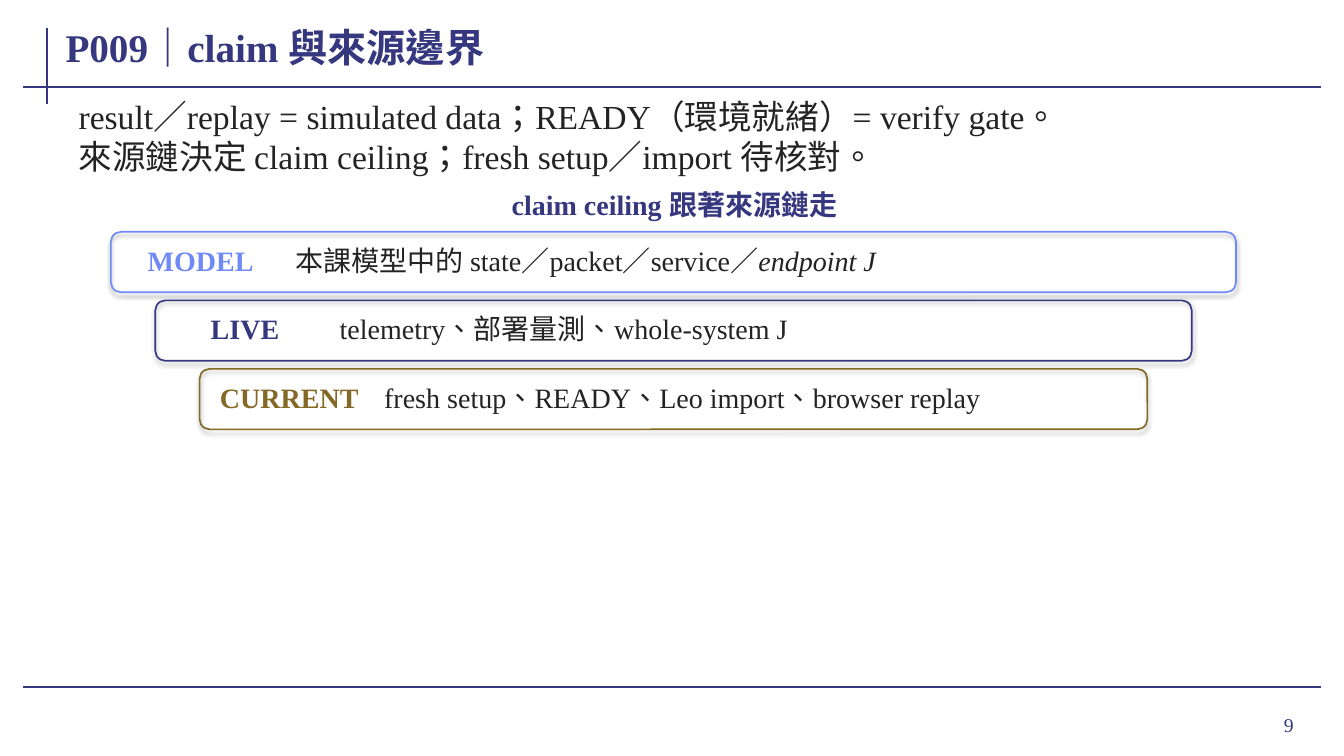
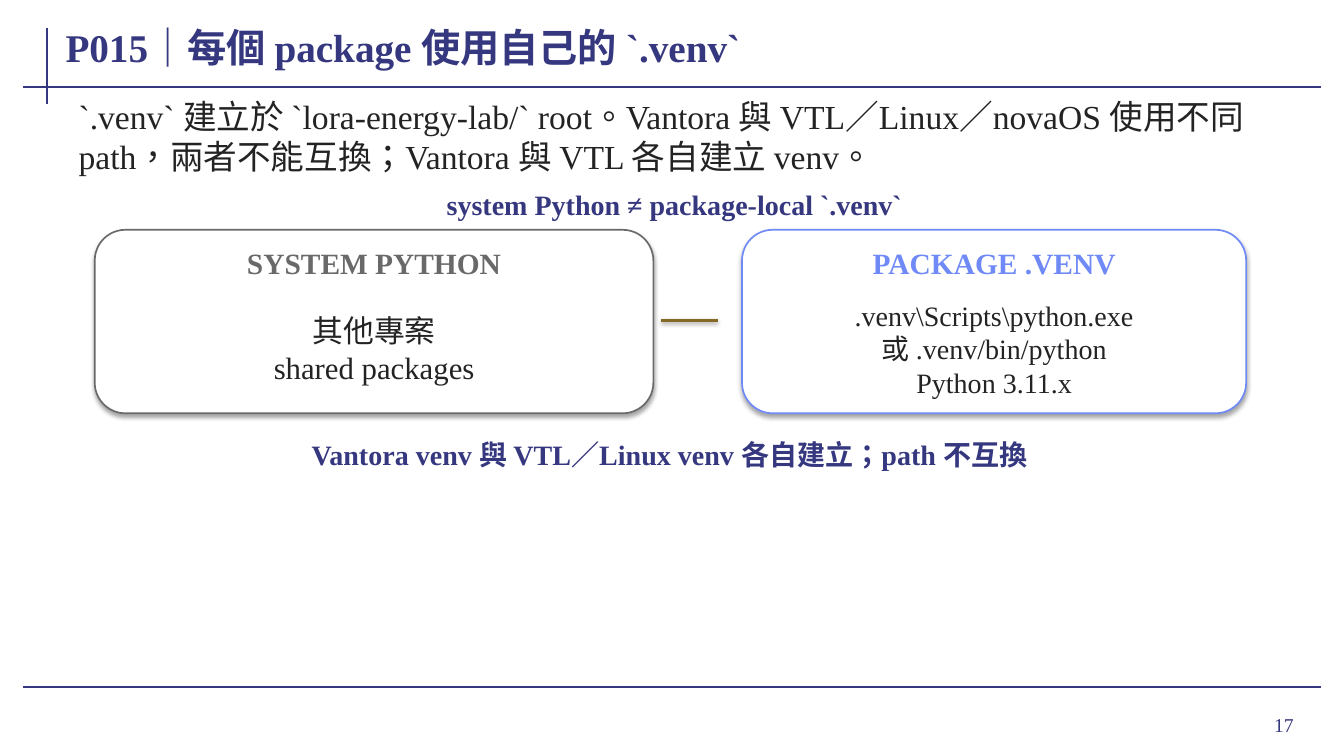
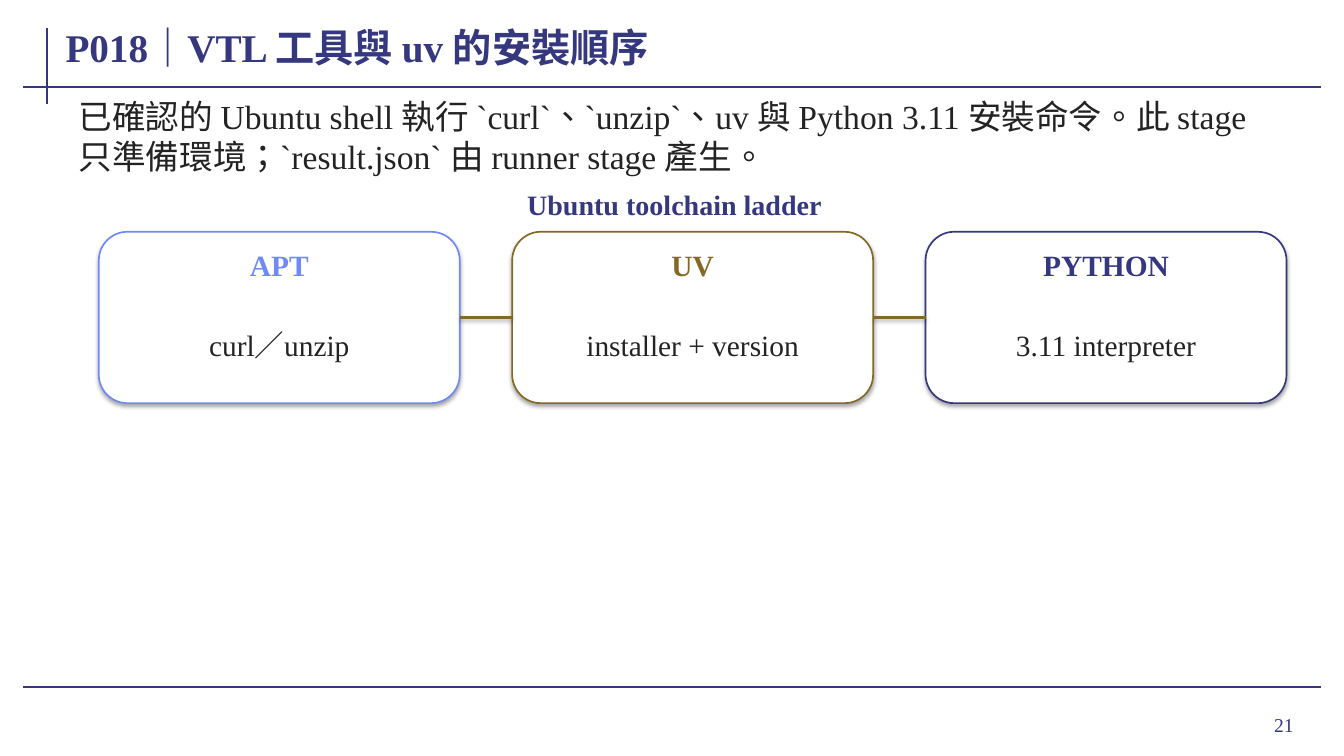
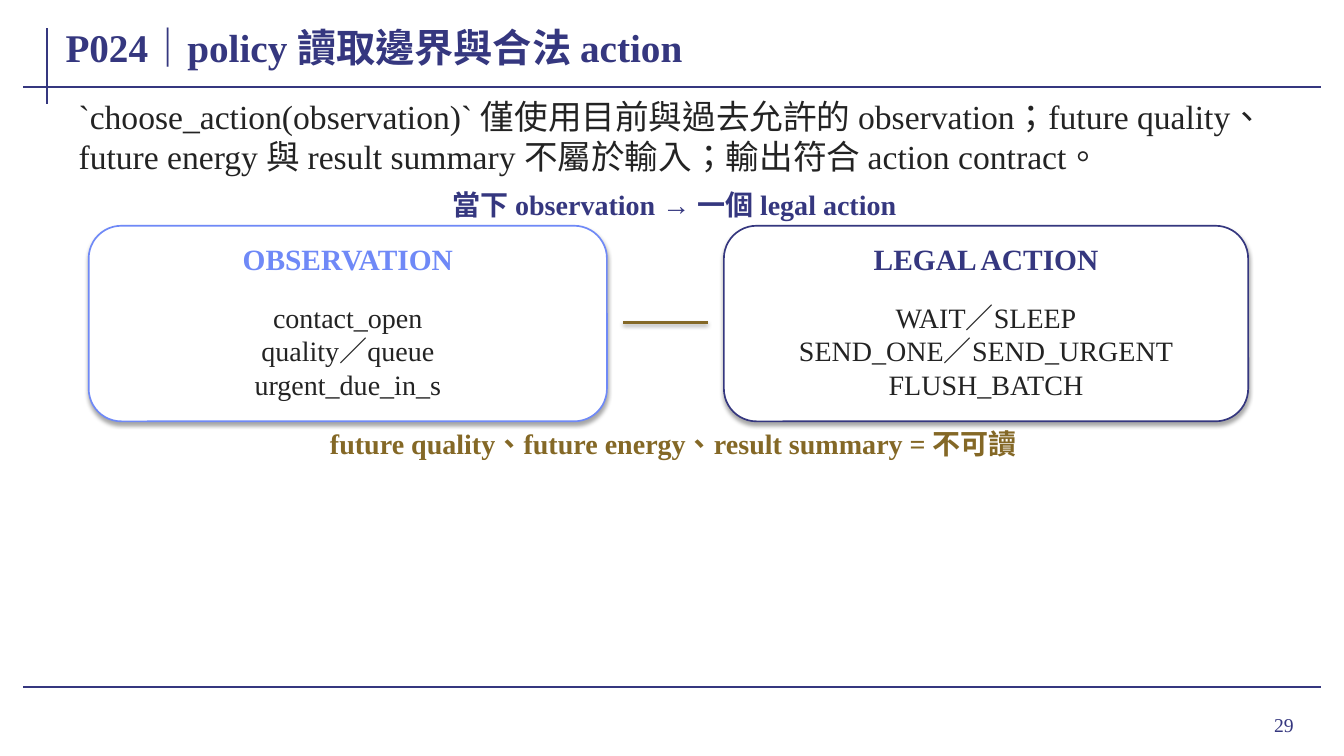
from lxml.etree import SubElement
from pptx import Presentation
from pptx.dml.color import RGBColor
from pptx.enum.lang import MSO_LANGUAGE_ID as Lang
from pptx.enum.shapes import MSO_CONNECTOR as Connector, MSO_SHAPE as Shape
from pptx.enum.text import MSO_ANCHOR as Anchor, MSO_AUTO_SIZE as AutoSize, PP_ALIGN as Align
from pptx.oxml.ns import qn
from pptx.util import Inches, Pt

COLOURS = {
    "navy": "35377F",
    "blue": "6F89F7",
    "gold": "846826",
    "grey": "696969",
    "ink": "232323",
    "white": "FFFFFF",
}
TIGHT = (0.01, 0)
SNUG = (0.03, 0.01)


class Deck:
    font_name = "Times New Roman"
    guides = [(0.47, 0.28, 0.47, 1.03), (0.23, 0.86, 13.1, 0.86), (0.23, 6.82, 13.1, 6.82)]

    def __init__(self):
        self.deck = Presentation()
        self.deck.slide_width = Inches(13.33)
        self.deck.slide_height = Inches(7.5)
        self.slide = None

    def colour(self, name):
        return RGBColor.from_string(COLOURS[name])

    def text(self, box, paragraphs, size, colour, bold=False, align=Align.LEFT,
             insets=TIGHT, anchor=Anchor.MIDDLE, fit=AutoSize.SHAPE_TO_FIT_TEXT):
        frame = self.slide.shapes.add_textbox(*map(Inches, box)).text_frame
        side, edge = map(Inches, insets)
        layout = {
            "word_wrap": True, "auto_size": fit, "vertical_anchor": anchor,
            "margin_left": side, "margin_right": side,
            "margin_top": edge, "margin_bottom": edge,
        }
        for key, value in layout.items():
            setattr(frame, key, value)
        style = {"name": self.font_name, "size": Pt(size), "bold": bold,
                 "language_id": Lang.TRADITIONAL_CHINESE}
        for index, pieces in enumerate(paragraphs):
            paragraph = frame.paragraphs[0] if index == 0 else frame.add_paragraph()
            paragraph.alignment = align
            for words, extra in [(pieces, {})] if isinstance(pieces, str) else pieces:
                run = paragraph.add_run()
                run.text = words
                run.font.color.rgb = self.colour(colour)
                for key, value in {**style, **extra}.items():
                    setattr(run.font, key, value)

    def effects(self, shape, alpha=0, distance=0):
        effect_list = SubElement(shape.element.spPr, qn("a:effectLst"))
        if alpha:
            shadow = SubElement(effect_list, qn("a:outerShdw"), blurRad="40000",
                                dist=str(distance), dir="5400000", rotWithShape="0")
            black = SubElement(shadow, qn("a:srgbClr"), val="000000")
            SubElement(black, qn("a:alpha"), val=str(alpha * 1000))

    def line(self, ends, colour, width, shadow=True):
        line = self.slide.shapes.add_connector(Connector.STRAIGHT, *map(Inches, ends))
        line.line.color.rgb = self.colour(colour)
        line.line.width = Pt(width)
        self.effects(line, *((38, 20000) if shadow else ()))
        return line

    def panel(self, box, colour, fill=None):
        panel = self.slide.shapes.add_shape(Shape.ROUNDED_RECTANGLE, *map(Inches, box))
        if fill:
            panel.fill.solid()
            panel.fill.fore_color.rgb = self.colour(fill)
        else:
            panel.fill.background()
        panel.line.color.rgb = self.colour(colour)
        panel.line.width = Pt(1.2)
        self.effects(panel, 35, 23000)
        return panel

    def page(self, number, title, intro, caption):
        self.slide = self.deck.slides.add_slide(self.deck.slide_layouts[6])
        for ends in self.guides:
            self.line(ends, "navy", 1.5, shadow=False)
        self.text((11.96, 6.93, 0.97, 0.52), [str(number)], 14, "navy", align=Align.RIGHT,
                  insets=(0.1, 0.05), fit=AutoSize.NONE)
        self.text((0.62, 0.15, 12.49, 0.62), [title], 28, "navy", bold=True,
                  insets=SNUG, fit=AutoSize.NONE)
        self.text((0.72, 0.93, 11.9, 0.84), intro, 24, "ink",
                  insets=(0.06, 0.02), anchor=Anchor.TOP)
        self.note((0.84, 1.87, 11.7, 0.32), caption, insets=(0.02, 0))

    def note(self, box, words, colour="navy", insets=TIGHT):
        self.text(box, [words], 20, colour, bold=True, align=Align.CENTER, insets=insets)

    def layer(self, level, label, content, colour):
        left, top, width = 1.1 + 0.44 * level, 2.3 + 0.68 * level, 11.16 - 0.88 * level
        self.panel((left, top, width, 0.6), colour)
        self.note((left + 0.1, top + 0.13, 1.58, 0.3), label, colour)
        self.text((left + 1.82, top + 0.13, width - 2.02, 0.3), [content], 20, "ink")

    def card(self, box, heading, body, colour, size):
        left, top, width, height = box
        panel = self.panel(box, colour, "white")
        self.text((left + 0.14, top + 0.16, width - 0.28, 0.34), [heading], 21, colour,
                  bold=True, align=Align.CENTER)
        self.text((left + 0.18, top + 0.66, width - 0.36, height - 0.78), body, size, "ink",
                  align=Align.CENTER, insets=SNUG)
        return panel


def claim_sources(deck):
    deck.page(9, "P009｜claim 與來源邊界",
              ["result／replay = simulated data；READY（環境就緒）= verify gate。",
               "來源鏈決定 claim ceiling；fresh setup／import 待核對。"],
              "claim ceiling 跟著來源鏈走")
    layers = [
        ("MODEL", [("本課模型中的 state／packet／service／", {}),
                   ("endpoint J", {"italic": True})], "blue"),
        ("LIVE", "telemetry、部署量測、whole-system J", "navy"),
        ("CURRENT", "fresh setup、READY、Leo import、browser replay", "gold"),
    ]
    for level, layer in enumerate(layers):
        deck.layer(level, *layer)


def package_venv(deck):
    deck.page(17, "P015｜每個 package 使用自己的 `.venv`",
              ["`.venv` 建立於 `lora-energy-lab/` root。Vantora 與 VTL／Linux／novaOS "
               "使用不同 path，兩者不能互換；Vantora 與 VTL 各自建立 venv。"],
              "system Python ≠ package-local `.venv`")
    deck.card((0.94, 2.28, 5.54, 1.82), "SYSTEM PYTHON",
              ["其他專案", "shared packages"], "grey", 22)
    deck.line((6.56, 3.18, 7.12, 3.18), "gold", 2)
    deck.card((7.36, 2.28, 5, 1.82), "PACKAGE .VENV",
              [".venv\\Scripts\\python.exe", "或 .venv/bin/python", "Python 3.11.x"], "blue", 20)
    deck.note((1.12, 4.34, 11.04, 0.34), "Vantora venv 與 VTL／Linux venv 各自建立；path 不互換")


def toolchain_order(deck):
    deck.page(21, "P018｜VTL 工具與 uv 的安裝順序",
              ["已確認的 Ubuntu shell 執行 `curl`、`unzip`、uv 與 Python 3.11 安裝命令。"
               "此 stage 只準備環境；`result.json` 由 runner stage 產生。"],
              "Ubuntu toolchain ladder")
    steps = [("APT", "curl／unzip", "blue"), ("UV", "installer + version", "gold"),
             ("PYTHON", "3.11 interpreter", "navy")]
    width, gap, middle = 3.58, 0.52, 3.15
    previous = None
    for index, (heading, body, colour) in enumerate(steps):
        left = 0.98 + index * (width + gap)
        step = deck.card((left, 2.3, width, 1.7), heading, [body], colour, 21)
        if previous:
            link = deck.line((left - gap, middle, left, middle), "gold", 1.6)
            link.begin_connect(previous, 3)
            link.end_connect(step, 1)
        previous = step


def policy_action(deck):
    deck.page(29, "P024｜policy 讀取邊界與合法 action",
              ["`choose_action(observation)` 僅使用目前與過去允許的 observation；"
               "future quality、future energy 與 result summary 不屬於輸入；"
               "輸出符合 action contract。"],
              "當下 observation → 一個 legal action")
    deck.card((0.88, 2.24, 5.14, 1.94), "OBSERVATION",
              ["contact_open", "quality／queue", "urgent_due_in_s"], "blue", 20)
    deck.line((6.18, 3.2, 7.02, 3.2), "gold", 1.8)
    deck.card((7.18, 2.24, 5.2, 1.94), "LEGAL ACTION",
              ["WAIT／SLEEP", "SEND_ONE／SEND_URGENT", "FLUSH_BATCH"], "navy", 20)
    deck.note((1.42, 4.26, 10.52, 0.28), "future quality、future energy、result summary = 不可讀",
              "gold", insets=(0.08, 0.06))


def main():
    deck = Deck()
    for build in (claim_sources, package_venv, toolchain_order, policy_action):
        build(deck)
    deck.deck.save("out.pptx")


if __name__ == "__main__":
    main()
